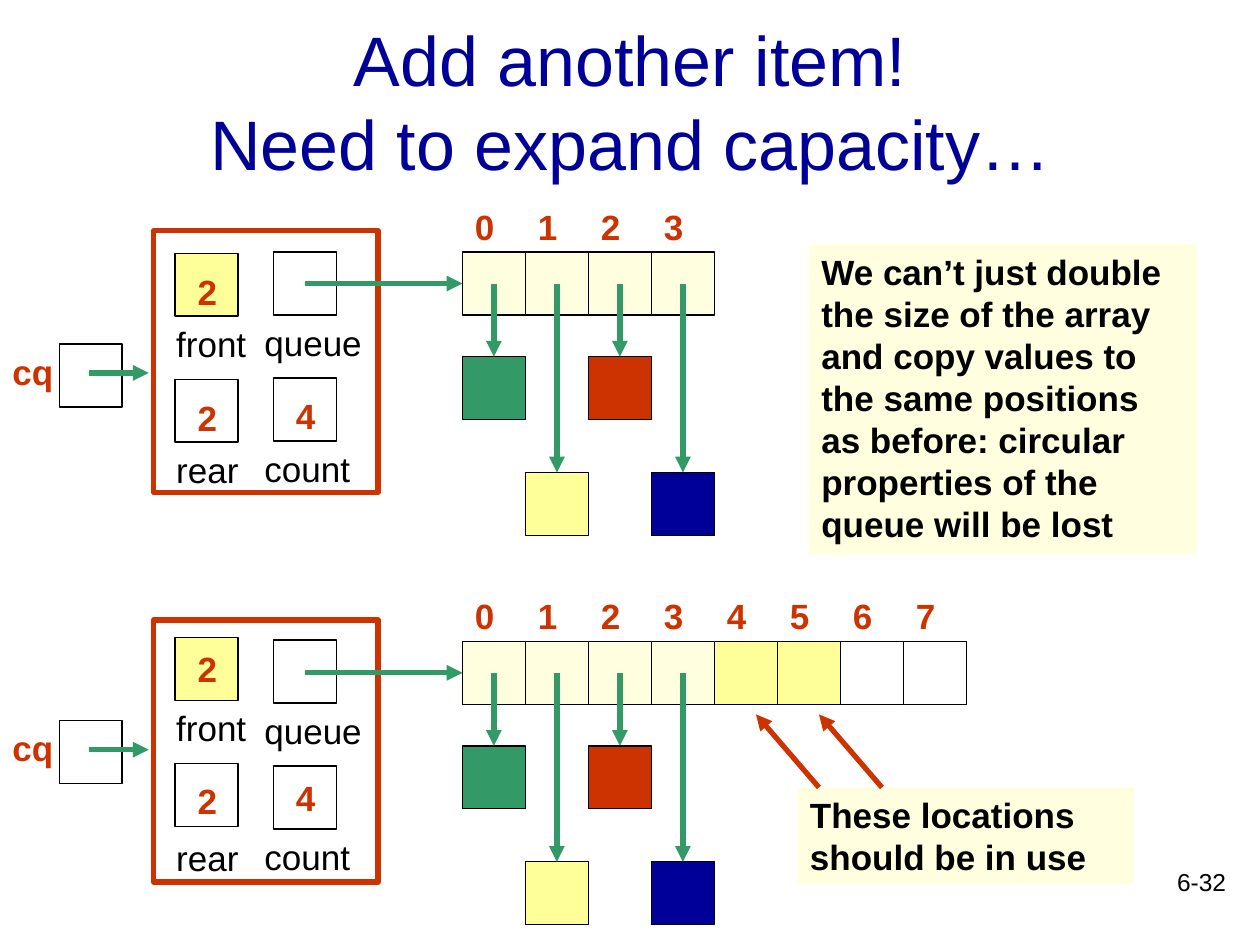
from lxml import etree
from pptx import Presentation
from pptx.dml.color import RGBColor
from pptx.enum.shapes import MSO_CONNECTOR, MSO_SHAPE
from pptx.enum.text import MSO_ANCHOR, PP_ALIGN
from pptx.oxml.ns import qn
from pptx.util import Inches, Pt

RECTANGLE = MSO_SHAPE.RECTANGLE
STRAIGHT = MSO_CONNECTOR.STRAIGHT
TOP, MIDDLE = MSO_ANCHOR.TOP, MSO_ANCHOR.MIDDLE
LEFT, CENTER, RIGHT = PP_ALIGN.LEFT, PP_ALIGN.CENTER, PP_ALIGN.RIGHT
SIDE_TOP, SIDE_LEFT = 0, 1

FONT = "Arial"
BLACK, NAVY, RED, GREEN = "000000", "000099", "CC3300", "339966"
CREAM, YELLOW = "FFFFDF", "FFFF99"
CELL = 0.5
HALF = CELL / 2
TEXT_HEIGHT = 0.43
# Colour of each queued item and its drop below the array
ITEMS = [(GREEN, 0.83), (YELLOW, 1.75), (RED, 0.83), (NAVY, 1.75)]


def color(hex_text):
    return RGBColor.from_string(hex_text)


def write(shape, text, size=20, ink=BLACK, bold=False, align=LEFT, anchor=TOP):
    frame = shape.text_frame
    frame.word_wrap = True
    frame.vertical_anchor = anchor
    paragraph = frame.paragraphs[0]
    paragraph.alignment = align
    for index, line in enumerate(text.split("\n")):
        if index:
            paragraph.add_line_break()
        run = paragraph.add_run()
        run.text = line
        run.font.name = FONT
        run.font.size = Pt(size)
        run.font.bold = bold
        run.font.color.rgb = color(ink)


def add_label(slide, text, left, top, width, height=TEXT_HEIGHT, **style):
    box = slide.shapes.add_textbox(*map(Inches, (left, top, width, height)))
    write(box, text, **style)


def add_box(slide, left, top, width=CELL, height=CELL, fill=None,
            line=BLACK, weight=0.75):
    box = slide.shapes.add_shape(
        RECTANGLE, *map(Inches, (left, top, width, height)))
    box.shadow.inherit = False
    if fill:
        box.fill.solid()
        box.fill.fore_color.rgb = color(fill)
    else:
        box.fill.background()
    if line:
        box.line.color.rgb = color(line)
        box.line.width = Pt(weight)
    else:
        box.line.fill.background()
    return box


def add_arrow(slide, start, end, ink=GREEN, target=None, side=None):
    arrow = slide.shapes.add_connector(
        STRAIGHT, *map(Inches, (*start, *end)))
    arrow.line.color.rgb = color(ink)
    arrow.line.width = Pt(3)
    etree.SubElement(arrow.line._get_or_add_ln(), qn("a:tailEnd"),
                     type="triangle")
    etree.SubElement(arrow._element.spPr, qn("a:effectLst"))
    if target is not None:
        arrow.end_connect(target, side)


def add_array(slide, left, top, fills):
    """Numbered cells with pointers to the items; returns the first cell."""
    cells = []
    for index, fill in enumerate(fills):
        x = left + index * CELL
        add_label(slide, str(index), x, top - 0.42, 0.39, ink=RED, bold=True)
        cells.append(add_box(slide, x, top, fill=fill))
    for index, (fill, drop) in enumerate(ITEMS):
        x = left + index * CELL
        item = add_box(slide, x, top + drop, fill=fill)
        add_arrow(slide, (x + HALF, top + HALF), (x + HALF, top + drop),
                  target=item, side=SIDE_TOP)
    return cells[0]


def add_queue_object(slide, left, top, fields, first_cell):
    """Framed fields; each is name, value, fill, column, cell top,
    label top and value offset, with lengths relative to the frame."""
    for name, value, fill, column, cell_top, label_top, value_offset in fields:
        x = left + 0.17 + column * 0.78
        add_box(slide, x, top + cell_top, fill=fill)
        add_label(slide, name, x - 0.09 - column * 0.08, top + label_top, 1)
        if value:
            add_label(slide, value, x + 0.08, top + cell_top + value_offset,
                      0.39, ink=RED, bold=True)
    add_box(slide, left, top, 1.78, 2.08, line=RED, weight=3)
    y = top + 0.17 + HALF
    add_arrow(slide, (left + 1.2, y), (left + 2.45, y),
              target=first_cell, side=SIDE_LEFT)


def add_reference(slide, left, top):
    """The cq variable and its pointer."""
    add_label(slide, "cq", left, top, 0.94, ink=RED, bold=True)
    add_box(slide, left + 0.47, top)
    add_arrow(slide, (left + 0.71, top + 0.23), (left + 1.18, top + 0.23))


def add_diagram(slide, top, cq_top, fills, fields):
    first_cell = add_array(slide, 3.67, top + 0.17, fills)
    add_queue_object(slide, 1.22, top, fields, first_cell)
    add_reference(slide, 0, cq_top)


def add_note(slide, text, left, top, width, height):
    note = add_box(slide, left, top, width, height, fill=CREAM, line=None)
    write(note, text, bold=True)


def add_title(slide, text, left, top, width, height):
    title = slide.shapes.title
    title.left, title.top, title.width, title.height = map(
        Inches, (left, top, width, height))
    write(title, text, size=40, ink=NAVY, align=CENTER, anchor=MIDDLE)


def main():
    presentation = Presentation()
    presentation.slide_width = Inches(10)
    presentation.slide_height = Inches(7.5)
    slide = presentation.slides.add_slide(presentation.slide_layouts[5])

    add_title(slide, "Add another item!\nNeed to expand capacity…",
              0.75, 0.17, 8.5, 1.25)
    add_label(slide, "6-32", 7.75, 6.83, 2.08, 0.5, size=14, align=RIGHT)

    # Full queue
    add_diagram(slide, 1.83, 2.73, [CREAM] * 4, [
        ("front", "2", YELLOW, 0, 0.18, 0.68, 0.09),
        ("rear", "2", None, 0, 1.18, 1.68, 0.09),
        ("queue", None, None, 1, 0.17, 0.67, 0),
        ("count", "4", None, 1, 1.17, 1.67, 0.08),
    ])
    # Queue with doubled capacity
    add_diagram(slide, 4.92, 5.72,
                [CREAM] * 4 + [YELLOW] * 2 + [None] * 2, [
                    ("front", "2", YELLOW, 0, 0.14, 0.64, 0.03),
                    ("rear", "2", None, 0, 1.14, 1.67, 0.08),
                    ("queue", None, None, 1, 0.16, 0.66, 0),
                    ("count", "4", None, 1, 1.16, 1.66, 0.03),
                ])

    # Notes, and arrows to the unused locations
    add_note(slide, "We can’t just double the size of the array and copy "
             "values to the same positions as before: circular properties "
             "of the queue will be lost", 6.42, 1.94, 3.08, 2.46)
    add_note(slide, "These locations should be in use",
             6.33, 6.25, 2.67, 0.77)
    for x in (6, 6.5):
        add_arrow(slide, (x + CELL, 6.25), (x, 5.67), ink=RED)

    presentation.save("out.pptx")


if __name__ == "__main__":
    main()
